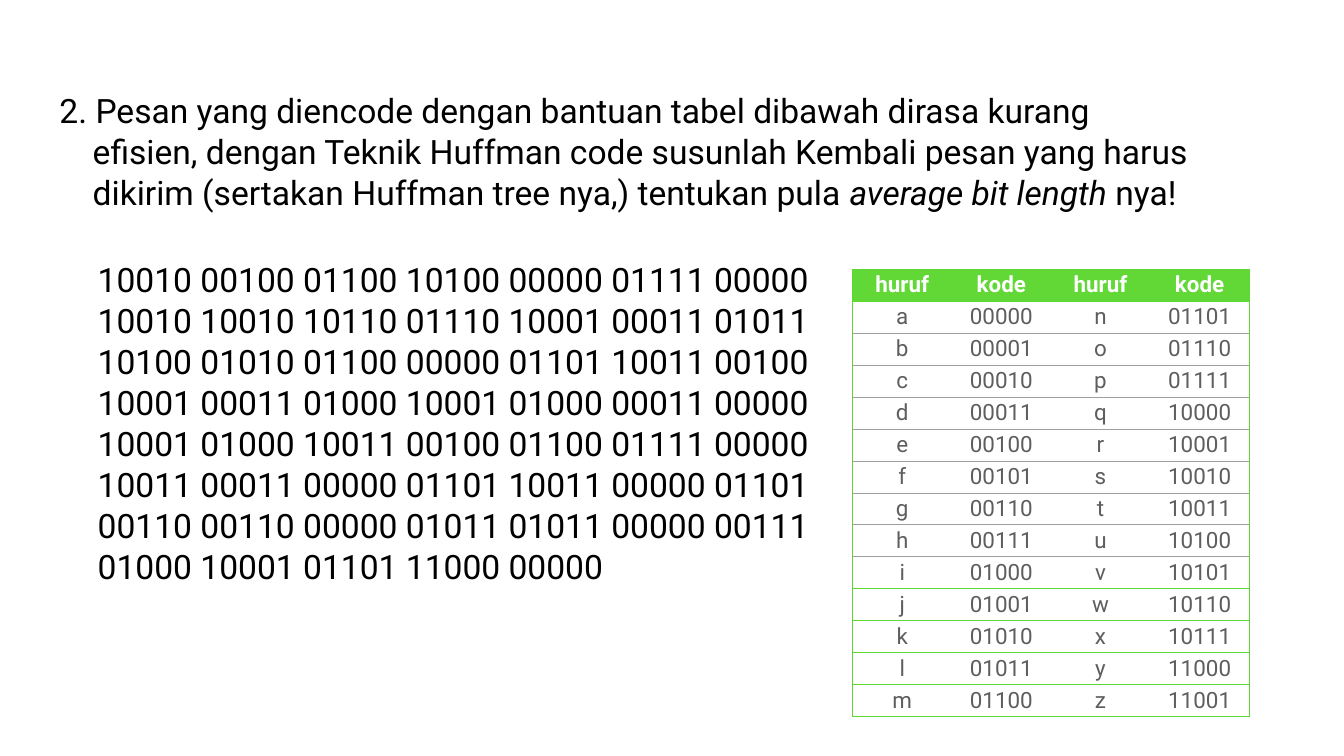
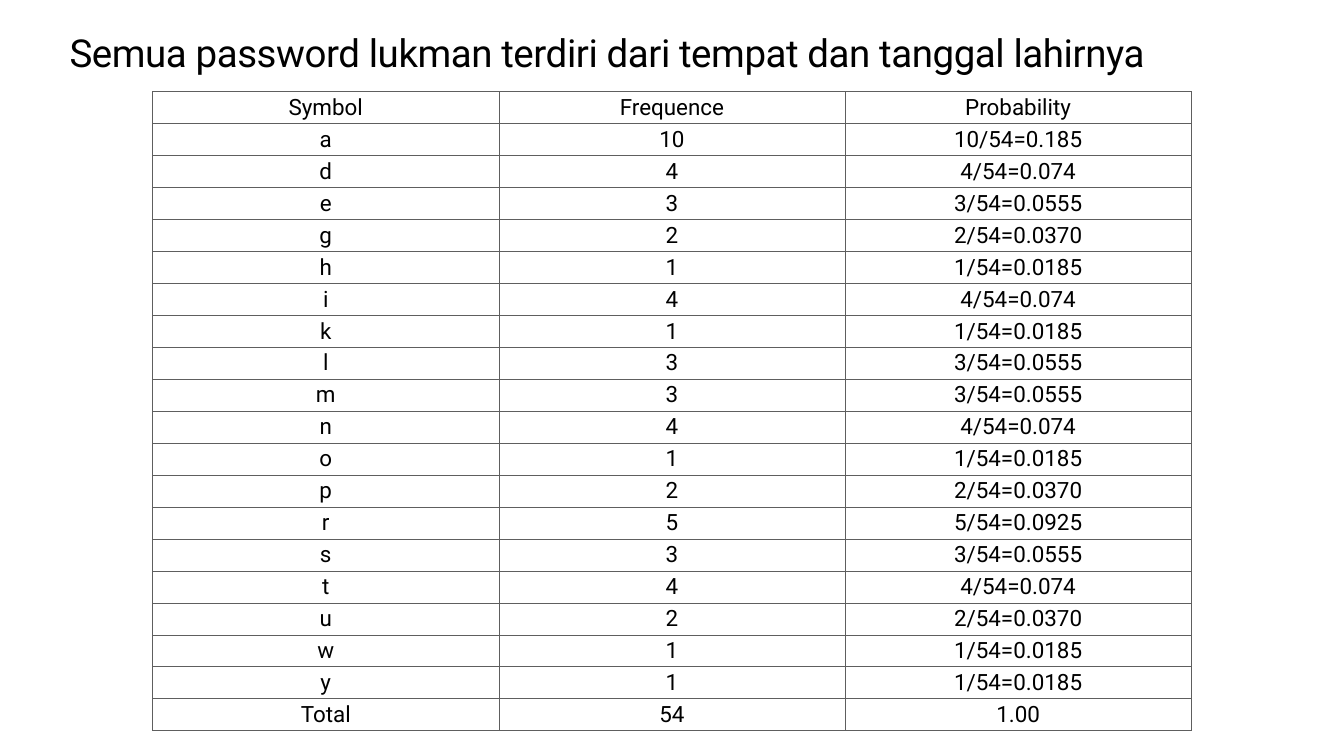
from dataclasses import dataclass

from lxml import etree
from pptx import Presentation
from pptx.dml.color import RGBColor
from pptx.enum.text import MSO_ANCHOR, PP_ALIGN
from pptx.oxml.ns import qn
from pptx.util import Inches, Pt


@dataclass(frozen=True)
class Theme:
    """Colours, font and type sizes of the deck."""
    font: str = "Roboto"
    ink: str = "000000"
    grey: str = "5E5E5E"
    rule: str = "9E9E9E"
    green: str = "5DD731"
    header: str = "61D836"
    white: str = "FFFFFF"
    title: int = 55
    body: int = 48
    cell: int = 32
    inset: float = 0.06
    leading: float = 1.02


T = Theme()

QUESTION = [
    ["2. Pesan yang diencode dengan bantuan tabel dibawah dirasa kurang"],
    ["efisien, dengan Teknik Huffman code susunlah Kembali pesan yang harus"],
    ["dikirim (sertakan Huffman tree nya,) tentukan pula ",
     "average bit length", " nya!"],
]
MESSAGE = [
    "10010 00100 01100 10100 00000 01111 00000",
    "10010 10010 10110 01110 10001 00011 01011",
    "10100 01010 01100 00000 01101 10011 00100",
    "10001 00011 01000 10001 01000 00011 00000",
    "10001 01000 10011 00100 01100 01111 00000",
    "10011 00011 00000 01101 10011 00000 01101",
    "00110 00110 00000 01011 01011 00000 00111",
    "01000 10001 01101 11000 00000",
]
LETTERS = "abcdefghijklmnopqrstuvwxyz"
FREQUENCIES = dict(a=10, d=4, e=3, g=2, h=1, i=4, k=1, l=3, m=3, n=4,
                   o=1, p=2, r=5, s=3, t=4, u=2, w=1, y=1)
RATIOS = {10: "0.185", 5: "0.0925", 4: "0.074",
          3: "0.0555", 2: "0.0370", 1: "0.0185"}


def style(r, size, color=T.ink, bold=False, italic=False):
    """Give a run its font, size and colour."""
    r.font.name, r.font.size = T.font, Pt(size)
    r.font.bold, r.font.italic = bold, italic
    r.font.color.rgb = RGBColor.from_string(color)


def text_box(s, box, lines, size, anchor, wrap=True, italic=()):
    """Add a text box with one paragraph per line, each a list of runs."""
    tf = s.shapes.add_textbox(*map(Inches, box)).text_frame
    tf.word_wrap, tf.vertical_anchor = wrap, anchor
    tf.margin_left = tf.margin_right = Inches(T.inset)
    tf.margin_top = tf.margin_bottom = Inches(T.inset)
    for i, texts in enumerate(lines):
        p = tf.paragraphs[0] if i == 0 else tf.add_paragraph()
        for text in texts:
            r = p.add_run()
            r.text = text
            style(r, size, italic=text in italic)
    return tf


def set_border(cell, **sides):
    """Draw cell edges; each side is (colour, points) or None for no line."""
    pr = cell._tc.get_or_add_tcPr()
    fill = list(pr)
    for side in "LRTB":
        ln = etree.SubElement(pr, qn(f"a:ln{side}"))
        if sides.get(side) is None:
            etree.SubElement(ln, qn("a:noFill"))
        else:
            color, width = sides[side]
            ln.set("w", str(Pt(width)))
            solid = etree.SubElement(ln, qn("a:solidFill"))
            etree.SubElement(solid, qn("a:srgbClr")).set("val", color)
    pr.extend(fill)


def add_grid(s, box, rows, paint):
    """Add an evenly divided table; paint(cell, row, column) styles each cell."""
    x, y, w, h = box
    shape = s.shapes.add_table(len(rows), len(rows[0]), *map(Inches, box))
    table = shape.table
    table.first_row = table.horz_banding = False
    for col in table.columns:
        col.width = Inches(w / len(rows[0]))
    for i, values in enumerate(rows):
        table.rows[i].height = Inches(h / len(rows))
        for j, value in enumerate(values):
            cell = table.cell(i, j)
            cell.text = value
            cell.margin_top = cell.margin_bottom = Inches(0.05)
            cell.vertical_anchor = MSO_ANCHOR.MIDDLE
            cell.text_frame.paragraphs[0].alignment = PP_ALIGN.CENTER
            cell.fill.background()
            paint(cell, i, j)


def question(s, box):
    """Place the numbered question with hanging lines."""
    tf = text_box(s, box, QUESTION, T.body, MSO_ANCHOR.MIDDLE,
                  italic=("average bit length",))
    hang = Inches(0.66)
    for i, p in enumerate(tf.paragraphs):
        p.line_spacing = T.leading
        pr = p._p.get_or_add_pPr()
        pr.set("marL", str(hang))
        pr.set("indent", str(0 if i else -hang))


def message(s, box):
    """Place the encoded message."""
    tf = text_box(s, box, [[line] for line in MESSAGE], T.body,
                  MSO_ANCHOR.MIDDLE, wrap=False)
    for p in tf.paragraphs:
        p.line_spacing = T.leading


def code_table(s, box):
    """Place the alphabet with its five-bit codes, in two halves."""
    codes = [(c, f"{i:05b}") for i, c in enumerate(LETTERS)]
    half = len(codes) // 2
    rows = [("huruf", "kode") * 2]
    rows += [a + b for a, b in zip(codes[:half], codes[half:])]

    def edge(i):
        """Line above row i: grey between the upper letters, else green."""
        return (T.rule if 2 <= i <= 9 else T.green, 0.75)

    def paint(cell, i, j):
        head = i == 0
        if head:
            cell.fill.solid()
            cell.fill.fore_color.rgb = RGBColor.from_string(T.header)
        style(cell.text_frame.paragraphs[0].runs[0], T.cell,
              T.white if head else T.grey, bold=head)
        side = (T.green, 0.75)
        set_border(cell, L=side if j == 0 else None,
                   R=side if j == 3 else None, T=edge(i), B=edge(i + 1))

    add_grid(s, box, rows, paint)


def frequency_table(s, box):
    """Place the symbol counts with their probabilities and the total."""
    total = sum(FREQUENCIES.values())
    rows = [("Symbol", "Frequence", "Probability")]
    rows += [(c, str(n), f"{n}/{total}={RATIOS[n]}")
             for c, n in FREQUENCIES.items()]
    rows.append(("Total", str(total), "1.00"))

    def paint(cell, i, j):
        style(cell.text_frame.paragraphs[0].runs[0], T.cell)
        set_border(cell, **dict.fromkeys("LRTB", (T.grey, 1)))

    add_grid(s, box, rows, paint)


def heading(s, box, text):
    """Place the slide's opening statement, slightly tightened."""
    tf = text_box(s, box, [[text]], T.title, MSO_ANCHOR.TOP)
    tf.paragraphs[0].runs[0]._r.get_or_add_rPr().set("spc", "-60")


def new_slide(prs):
    """Add a blank slide with a white background."""
    s = prs.slides.add_slide(prs.slide_layouts[6])
    s.background.fill.solid()
    s.background.fill.fore_color.rgb = RGBColor.from_string(T.white)
    return s


def problem_slide(prs):
    """Build the slide with the question, the message and the code table."""
    s = new_slide(prs)
    question(s, (1.12, 1.72, 22.85, 2.54))
    message(s, (1.88, 5.09, 14.56, 6.57))
    code_table(s, (16.92, 5.34, 7.87, 8.87))


def answer_slide(prs):
    """Build the slide with the decoded message and the frequencies."""
    s = new_slide(prs)
    heading(s, (1.32, 0.51, 24.03, 13.78),
            "Semua password lukman terdiri dari tempat dan tanggal lahirnya")
    frequency_table(s, (3.03, 1.82, 20.61, 12.44))


prs = Presentation()
prs.slide_width, prs.slide_height = Inches(26.67), Inches(15)
problem_slide(prs)
answer_slide(prs)
prs.save("out.pptx")
